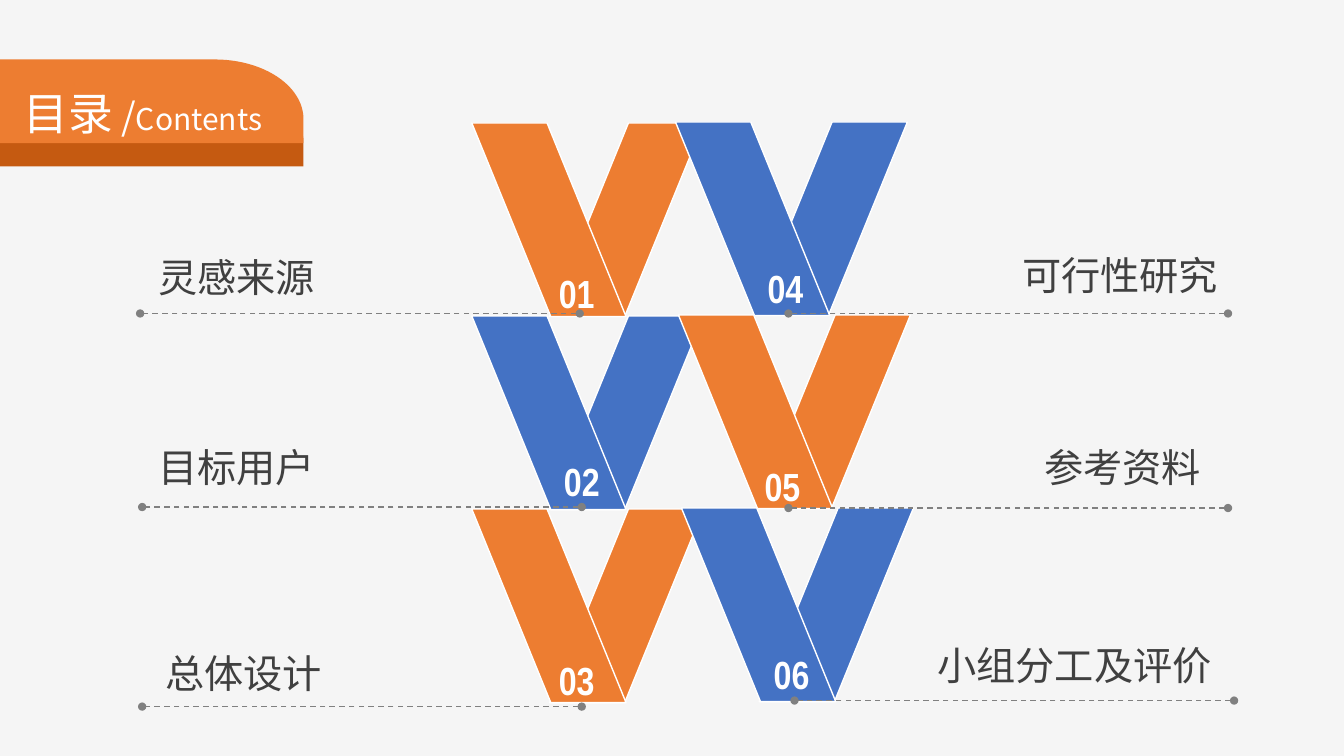
import math

from lxml import etree
from pptx import Presentation
from pptx import util as u
from pptx.dml.color import RGBColor
from pptx.enum import dml, shapes, text
from pptx.oxml.ns import qn

COLORS = {
    "paper": "F5F5F5",
    "orange": "ED7D31",
    "rust": "C55A11",
    "blue": "4472C4",
    "ink": "404040",
    "rule": "808080",
    "white": "FFFFFF",
}
CJK, NARROW = "Noto Sans CJK SC", "Arial Narrow"
BAND_W, BAND_H, BAND_STEP = 1.53, 1.92, 0.77

# Each row: number, number box (left, top), label, label box (left, top, width, height),
# rule (left, y)
LEFT_ITEMS = [
    ("01", (5.26, 2.62), "灵感来源", (1.47, 2.52, 1.77, 0.57), (1.39, 3.11)),
    ("02", (5.31, 4.49), "目标用户", (1.47, 4.4, 2.82, 0.61), (1.41, 5.03)),
    ("03", (5.26, 6.46), "总体设计", (1.54, 6.44, 2.82, 0.61), (1.41, 7.01)),
]
RIGHT_ITEMS = [
    ("04", (7.33, 2.57), "可行性研究", (10.04, 2.5, 3.93, 0.61), (7.82, 3.11)),
    ("05", (7.3, 4.54), "参考资料", (10.26, 4.4, 2.82, 0.61), (7.82, 5.04)),
    ("06", (7.39, 6.4), "小组分工及评价", (9.2, 6.37, 4.27, 0.61), (7.88, 6.95)),
]
# Each column: items, left of first V, shift per row, top of first V
COLUMNS = [(LEFT_ITEMS, 4.68, 0, 1.22), (RIGHT_ITEMS, 6.7, 0.03, 1.21)]
ROW_STEP = 1.915
RULE_W = 4.36


class Deck:
    def __init__(self):
        self.prs = Presentation()
        self.prs.slide_width, self.prs.slide_height = u.Inches(13.33), u.Inches(7.5)
        self.s = self.prs.slides.add_slide(self.prs.slide_layouts[5])
        self.paint(self.s.background.fill, "paper")

    def paint(self, fill, color):
        fill.solid()
        fill.fore_color.rgb = RGBColor.from_string(COLORS[color])

    def run(self, p, words, size, font, color, bold=False):
        """Add one run, with the font set for Latin and East Asian text."""
        r = p.add_run()
        r.text = words
        r.font.size, r.font.name, r.font.bold = u.Pt(size), font, bold
        r.font.color.rgb = RGBColor.from_string(COLORS[color])
        ea = etree.SubElement(r.font._element, qn("a:ea"))
        ea.set("typeface", font)

    def label(self, words, box, font=CJK, color="ink", bold=False,
              align=text.PP_ALIGN.LEFT, spacing=0.9):
        sp = self.s.shapes.add_textbox(*map(u.Inches, box))
        tf = sp.text_frame
        tf.word_wrap = True
        p = tf.paragraphs[0]
        p.alignment, p.line_spacing = align, spacing
        self.run(p, words, 28, font, color, bold)

    def number(self, words, left, top):
        self.label(words, (left, top, 0.92, 0.57), NARROW, "white", True,
                   text.PP_ALIGN.CENTER, 1.0)

    def band(self, left, top, color, flipped):
        sp = self.s.shapes.add_shape(
            shapes.MSO_SHAPE.PARALLELOGRAM,
            *map(u.Inches, (left, top, BAND_W, BAND_H)))
        sp.adjustments[0] = 0.512
        sp.shadow.inherit = False
        self.paint(sp.fill, color)
        self.paint(sp.line.fill, "white")
        sp.line.width = u.Pt(1)
        if flipped:
            sp._element.spPr.find(qn("a:xfrm")).set("flipH", "1")

    def letter_v(self, left, top, color):
        self.band(left + BAND_STEP, top, color, False)
        self.band(left, top, color, True)

    def dotted_rule(self, left, y):
        """Draw a dashed line, right to left, with a dot at both ends."""
        cx = self.s.shapes.add_connector(
            shapes.MSO_CONNECTOR.STRAIGHT,
            *map(u.Inches, (left + RULE_W, y, left, y)))
        self.paint(cx.line.fill, "rule")
        cx.line.width = u.Pt(1)
        cx.line.dash_style = dml.MSO_LINE.DASH
        ln = cx.line._get_or_add_ln()
        for end in ("a:headEnd", "a:tailEnd"):
            etree.SubElement(ln, qn(end)).set("type", "oval")
        etree.SubElement(cx._element.spPr, qn("a:effectLst"))

    def ribbon(self, top, color):
        """Draw a block whose top right corner is a quarter ellipse."""
        width, height, rx, ry, steps = 3.01, 0.83, 0.88, 0.59, 24
        angles = [math.pi / 2 * i / steps for i in range(steps + 1)]
        corner = [(width - rx + rx * math.cos(a), top + ry - ry * math.sin(a))
                  for a in angles]
        points = [(0, top + height), (width, top + height), *corner]
        fb = self.s.shapes.build_freeform(0, u.Inches(top))
        fb.add_line_segments([(u.Inches(x), u.Inches(y)) for x, y in points])
        sp = fb.convert_to_shape()
        sp.shadow.inherit = False
        self.paint(sp.fill, color)
        sp.line.fill.background()

    def title(self, runs, box):
        """Fill the title placeholder and bring it in front of the ribbon."""
        sp = self.s.shapes.title
        sp.left, sp.top, sp.width, sp.height = map(u.Inches, box)
        tf = sp.text_frame
        tf.word_wrap = True
        tf.auto_size = text.MSO_AUTO_SIZE.SHAPE_TO_FIT_TEXT
        tf.vertical_anchor = text.MSO_ANCHOR.MIDDLE
        p = tf.paragraphs[0]
        p.alignment, p.line_spacing = text.PP_ALIGN.CENTER, 1.2
        for words, size in runs:
            self.run(p, words, size, CJK, "white")
        self.s.shapes._spTree.append(sp._element)


def main():
    d = Deck()
    for col, (items, left, shift, top) in enumerate(COLUMNS):
        for row, (num, num_at, words, box, rule) in enumerate(items):
            color = ("orange", "blue")[(row + col) % 2]
            d.letter_v(left + shift * row, top + ROW_STEP * row, color)
            d.number(num, *num_at)
            d.label(words, box)
    for num, num_at, words, box, rule in LEFT_ITEMS + RIGHT_ITEMS:
        d.dotted_rule(*rule)
    d.ribbon(0.82, "rust")
    d.ribbon(0.59, "orange")
    d.title([("目录", 32), (" /", 26.6), ("Contents", 21.4)], (-0.27, 0.72, 3.37, 0.69))
    d.prs.save("out.pptx")


if __name__ == "__main__":
    main()
